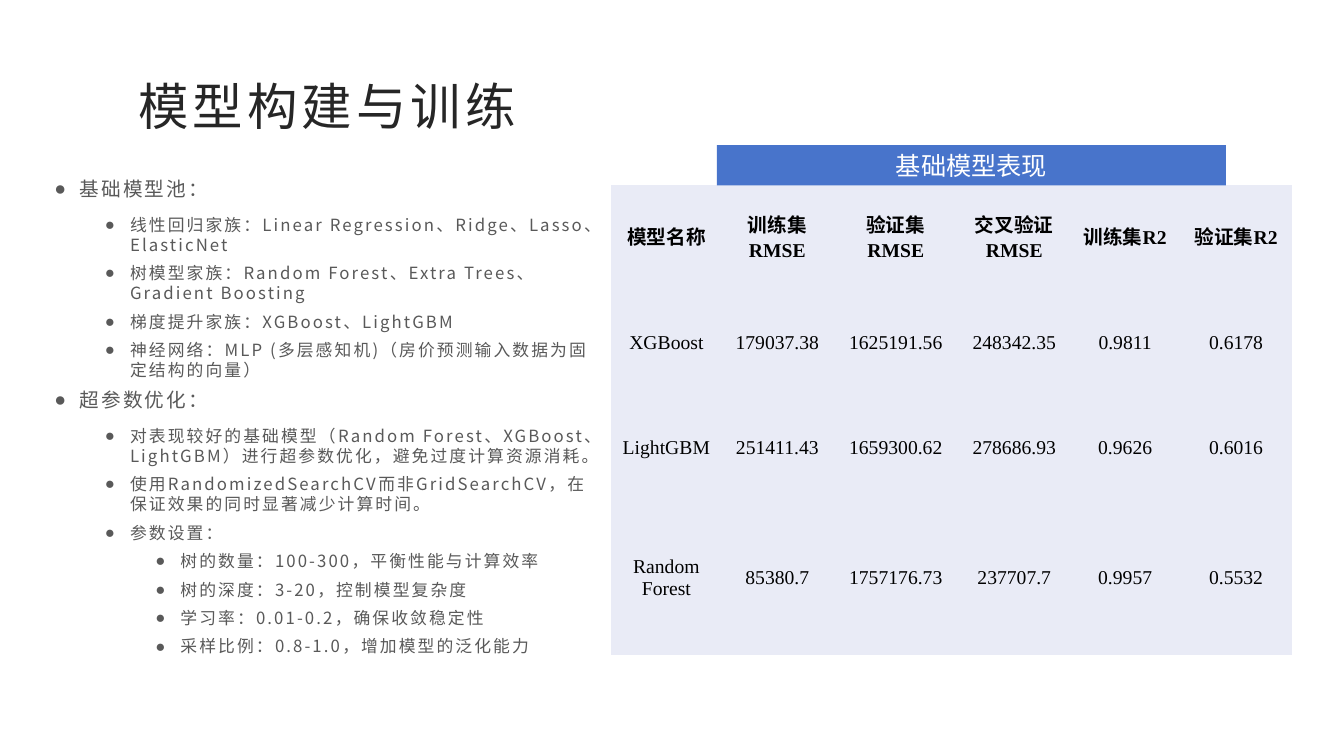
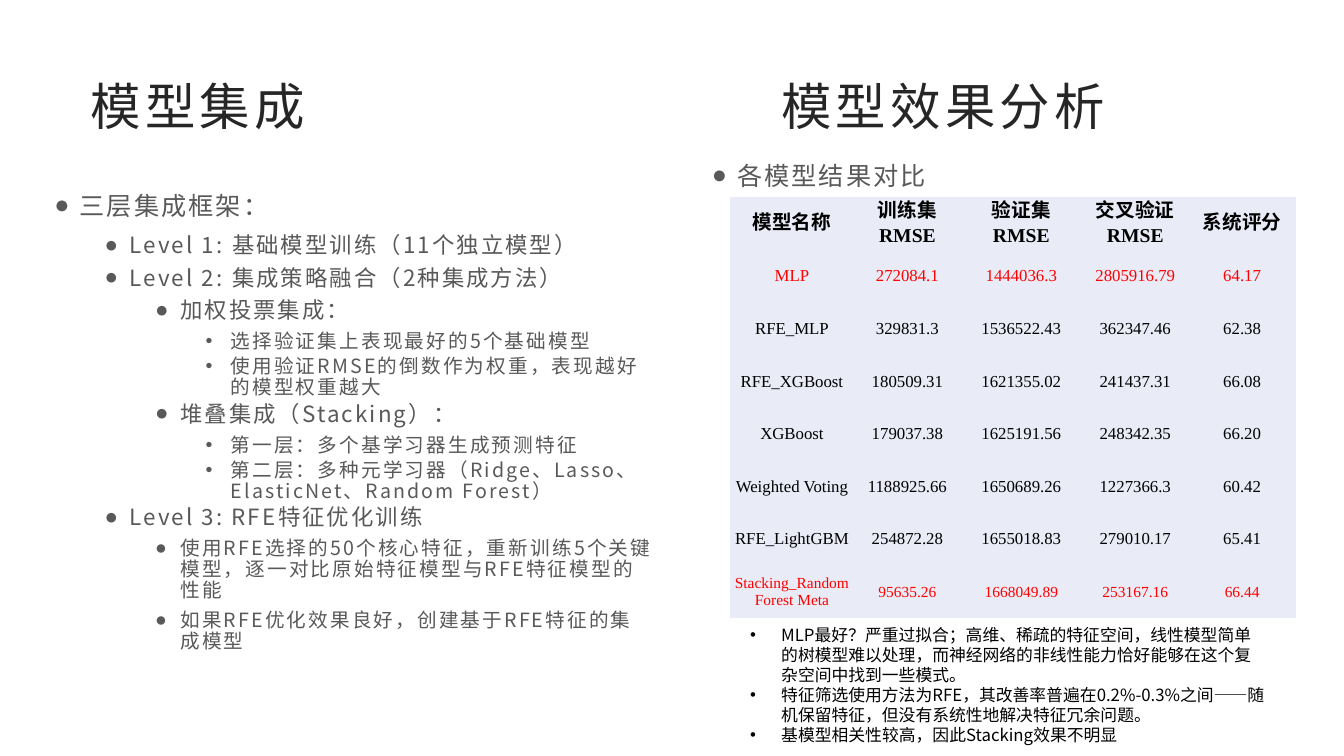
from pptx import Presentation
from pptx.dml.color import RGBColor as Rgb
from pptx.enum.shapes import MSO_SHAPE as Shape
from pptx.enum.text import MSO_ANCHOR as Anchor, MSO_AUTO_SIZE as Auto, PP_ALIGN as Align
from pptx.oxml.ns import qn
from pptx.util import Inches, Pt
from lxml.etree import SubElement as Sub

HUES = {"title": "262626", "body": "595959", "ink": "000000", "red": "FF0000",
        "white": "FFFFFF", "band": "4874CB", "cell": "E9EBF6"}
SANS, SERIF = "Noto Sans CJK JP", "Times New Roman"
PLAIN = "{2D5ABB26-0587-4C30-8999-92F81FD0307C}"
LINE = 1.19
AFTER = [10, 6, 6, 3]

TRAIN = [
    (0, 14, "基础模型池："),
    (1, 12, "线性回归家族：Linear Regression、Ridge、Lasso、ElasticNet"),
    (1, 12, "树模型家族：Random Forest、Extra Trees、Gradient Boosting"),
    (1, 12, "梯度提升家族：XGBoost、LightGBM"),
    (1, 12, "神经网络：MLP (多层感知机)（房价预测输入数据为固定结构的向量）"),
    (0, 14, "超参数优化："),
    (1, 12, "对表现较好的基础模型（Random Forest、XGBoost、LightGBM）进行超参数优化，避免过度计算资源消耗。"),
    (1, 12, "使用RandomizedSearchCV而非GridSearchCV，在保证效果的同时显著减少计算时间。"),
    (1, 12, "参数设置："),
    (2, 12, "树的数量：100-300，平衡性能与计算效率"),
    (2, 12, "树的深度：3-20，控制模型复杂度"),
    (2, 12, "学习率：0.01-0.2，确保收敛稳定性"),
    (2, 12, "采样比例：0.8-1.0，增加模型的泛化能力"),
]
STACK = [
    (0, 18, "三层集成框架："),
    (1, 16, "Level 1: 基础模型训练（11个独立模型）"),
    (1, 16, "Level 2: 集成策略融合（2种集成方法）"),
    (2, 16, "加权投票集成："),
    (3, 14, "选择验证集上表现最好的5个基础模型"),
    (3, 14, "使用验证RMSE的倒数作为权重，表现越好的模型权重越大"),
    (2, 16, "堆叠集成（Stacking）："),
    (3, 14, "第一层：多个基学习器生成预测特征"),
    (3, 14, "第二层：多种元学习器（Ridge、Lasso、ElasticNet、Random Forest）"),
    (1, 16, "Level 3: RFE特征优化训练"),
    (2, 14, "使用RFE选择的50个核心特征，重新训练5个关键模型，逐一对比原始特征模型与RFE特征模型的性能"),
    (2, 14, "如果RFE优化效果良好，创建基于RFE特征的集成模型"),
]
COMPARE = [(0, 18, "各模型结果对比")]
NOTES = [
    "MLP最好？严重过拟合；高维、稀疏的特征空间，线性模型简单的树模型难以处理，而神经网络的非线性能力恰好能够在这个复杂空间中找到一些模式。",
    "特征筛选使用方法为RFE，其改善率普遍在0.2%-0.3%之间——随机保留特征，但没有系统性地解决特征冗余问题。",
    "基模型相关性较高，因此Stacking效果不明显",
]
HEAD = ["模型名称", "训练集\nRMSE", "验证集\nRMSE", "交叉验证RMSE"]
BASE = [
    HEAD + ["训练集R2", "验证集R2"],
    ["XGBoost", "179037.38", "1625191.56", "248342.35", "0.9811", "0.6178"],
    ["LightGBM", "251411.43", "1659300.62", "278686.93", "0.9626", "0.6016"],
    ["Random Forest", "85380.7", "1757176.73", "237707.7", "0.9957", "0.5532"],
]
SCORES = [
    HEAD + ["系统评分"],
    ["MLP", "272084.1", "1444036.3", "2805916.79", "64.17"],
    ["RFE_MLP", "329831.3", "1536522.43", "362347.46", "62.38"],
    ["RFE_XGBoost", "180509.31", "1621355.02", "241437.31", "66.08"],
    ["XGBoost", "179037.38", "1625191.56", "248342.35", "66.20"],
    ["Weighted Voting", "1188925.66", "1650689.26", "1227366.3", "60.42"],
    ["RFE_LightGBM", "254872.28", "1655018.83", "279010.17", "65.41"],
    ["Stacking_Random Forest Meta", "95635.26", "1668049.89", "253167.16", "66.44"],
]


def add_run(para, text, size, hue, face=SANS, bold=False, gap=0):
    run = para.add_run()
    run.text = text
    font = run.font
    font.size, font.bold, font.name = Pt(size), bold, face
    font.color.rgb = Rgb.from_string(HUES[hue])
    props = run._r.get_or_add_rPr()
    Sub(props, qn("a:ea")).set("typeface", SANS)
    if gap:
        props.set("spc", str(int(gap * 100)))


def next_para(frame, index):
    return frame.add_paragraph() if index else frame.paragraphs[0]


def place(shape, box):
    shape.left, shape.top, shape.width, shape.height = map(Inches, box)
    frame = shape.text_frame
    frame.word_wrap, frame.auto_size = True, Auto.NONE
    return frame


def set_bullet(para, mark, left, hang):
    props = para._p.get_or_add_pPr()
    props.set("marL", str(Inches(left)))
    props.set("indent", str(-Inches(hang)))
    Sub(props, qn("a:buFont")).set("typeface", "Arial")
    Sub(props, qn("a:buChar")).set("char", mark)


def set_space(para, lead, after=0):
    para.line_spacing = Pt(round(lead, 1))
    para.space_before, para.space_after = Pt(0), Pt(after)


def fill_title(shape, text, left, width):
    frame = place(shape, (left, 0.66, width, 0.77))
    frame.vertical_anchor = Anchor.MIDDLE
    para = frame.paragraphs[0]
    para.alignment = Align.LEFT
    add_run(para, text, 36, "title", gap=3)


def fill_list(shape, box, items, first, rest=1):
    frame = place(shape, box)
    frame.vertical_anchor = Anchor.TOP
    for i, (level, size, text) in enumerate(items):
        para = next_para(frame, i)
        para.level = level
        set_bullet(para, "•" if level == 3 else "●", 0.25 + 0.5 * level, 0.25)
        set_space(para, size * LINE * (rest if i else first), AFTER[level])
        add_run(para, text, size, "body", gap=1.5)


def fill_notes(shape, box):
    frame = place(shape, box)
    for i, text in enumerate(NOTES):
        para = next_para(frame, i)
        set_bullet(para, "•", 0.31, 0.31)
        set_space(para, 12 * LINE)
        add_run(para, text, 12, "ink")


def add_grid(slide, left, top, wide, high, rows, sizes, reds=()):
    frame = slide.shapes.add_table(len(rows), len(wide), Inches(left), Inches(top),
                                   Inches(sum(wide)), Inches(sum(high)))
    table = frame.table
    table.first_row = table.horz_banding = False
    table._tbl.tblPr.find(qn("a:tableStyleId")).text = PLAIN
    for col, width in zip(table.columns, wide):
        col.width = Inches(width)
    for r, row in enumerate(rows):
        table.rows[r].height = Inches(high[r])
        for c, text in enumerate(row):
            cell = table.cell(r, c)
            cell.fill.solid()
            cell.fill.fore_color.rgb = Rgb.from_string(HUES["cell"])
            cell.vertical_anchor = Anchor.MIDDLE
            cell.margin_left = cell.margin_right = cell.margin_top = Inches(0.01)
            cell.margin_bottom = 0
            for i, line in enumerate(text.split("\n")):
                para = next_para(cell.text_frame, i)
                para.alignment = Align.CENTER
                if r == 0:
                    set_space(para, 17)
                add_run(para, line, sizes[r], "red" if r in reds else "ink", SERIF, r == 0)


def add_band(slide, text, box):
    band = slide.shapes.add_shape(Shape.RECTANGLE, *map(Inches, box))
    band.shadow.inherit = False
    band.fill.solid()
    band.fill.fore_color.rgb = Rgb.from_string(HUES["band"])
    band.line.fill.background()
    frame = band.text_frame
    frame.vertical_anchor = Anchor.MIDDLE
    frame.paragraphs[0].alignment = Align.CENTER
    add_run(frame.paragraphs[0], text, 18, "white")


def add_box(slide):
    return slide.shapes.add_textbox(0, 0, Inches(1), Inches(1))


def build_train(deck):
    slide = deck.slides.add_slide(deck.slide_layouts[1])
    fill_title(slide.shapes.title, "模型构建与训练", 1.27, 11.4)
    fill_list(slide.placeholders[1], (0.44, 1.64, 5.62, 4.69), TRAIN, 1.3)
    add_grid(slide, 6.06, 1.84, [1.1, 1.1, 1.25, 1.1, 1.1, 1.1],
             [1.04] * 3 + [1.54], BASE, [14] * 4)
    add_band(slide, "基础模型表现", (7.11, 1.44, 5.05, 0.4))


def build_stack(deck):
    slide = deck.slides.add_slide(deck.slide_layouts[1])
    fill_title(slide.shapes.title, "模型效果分析", 7.65, 5.01)
    fill_list(slide.placeholders[1], (6.96, 1.45, 5.7, 5.2), COMPARE, 1.3)
    fill_list(add_box(slide), (0.44, 1.78, 6.14, 5.2), STACK, 1.2, 0.9)
    fill_title(add_box(slide), "模型集成", 0.8, 5.01)
    add_grid(slide, 7.24, 1.95, [1.23, 1.06, 1.2, 1.06, 1.06],
             [4.18 / len(SCORES)] * len(SCORES), SCORES, [14] + [12] * 6 + [11], (1, 7))
    fill_notes(add_box(slide), (7.34, 6.15, 5.32, 1.31))


def main():
    deck = Presentation()
    deck.slide_width, deck.slide_height = Inches(13.33), Inches(7.5)
    build_train(deck)
    build_stack(deck)
    deck.save("out.pptx")


if __name__ == "__main__":
    main()
